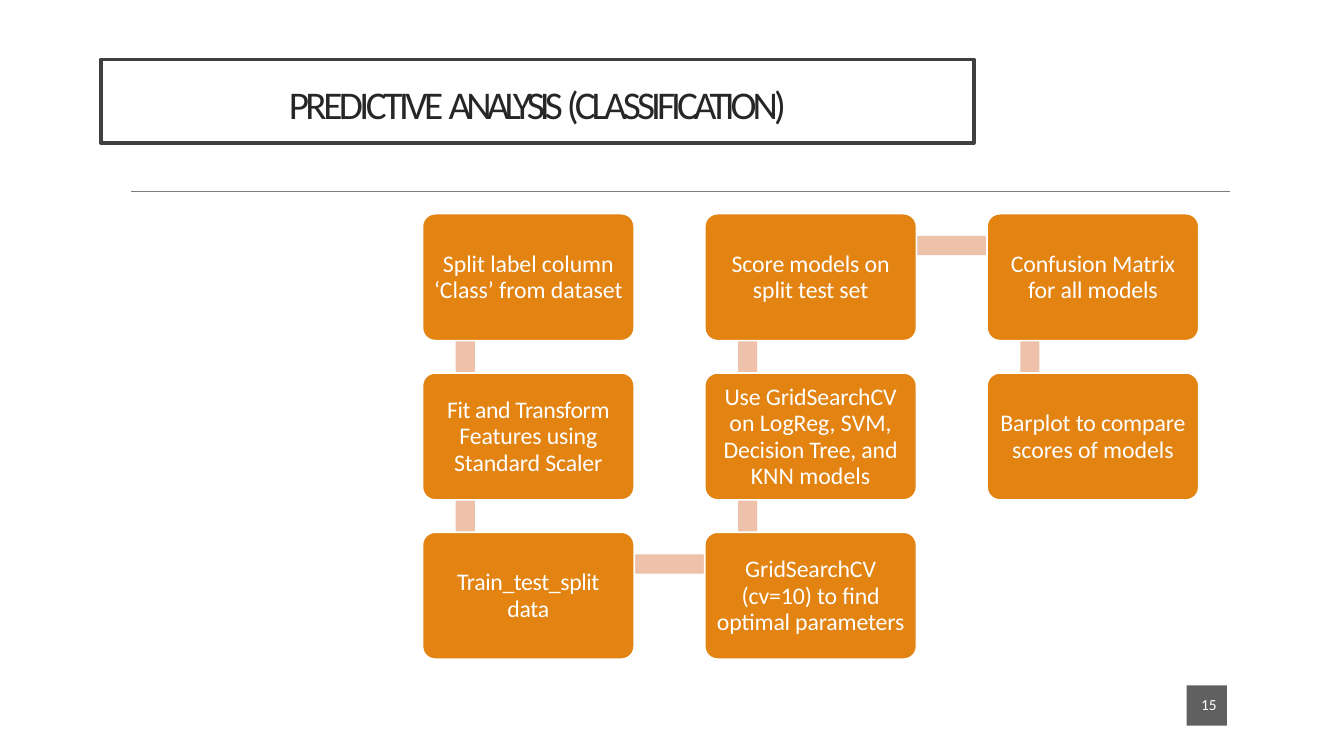
from itertools import pairwise

from lxml.etree import SubElement
from pptx import Presentation
from pptx.dml.color import RGBColor
from pptx.enum.shapes import MSO_CONNECTOR, MSO_SHAPE
from pptx.enum.text import MSO_ANCHOR, PP_ALIGN
from pptx.oxml.ns import qn
from pptx.util import Inches, Pt

WHITE = RGBColor(0xFF, 0xFF, 0xFF)
ORANGE = RGBColor(0xE2, 0x83, 0x12)
PEACH = RGBColor(0xED, 0xC1, 0xAA)
INK = RGBColor(0x26, 0x26, 0x26)
FRAME = RGBColor(0x40, 0x40, 0x40)
RULE = RGBColor(0x7D, 0x7D, 0x7D)
BADGE = RGBColor(0x1D, 0x1D, 0x1D)

# Boxes: left, top, width, height in inches
TITLE_BOX = (1, 0.59, 8.66, 0.83)
RULE_BOX = (1.3, 1.9, 10.9, 0)
FLOW_BOX = (4.19, 2.12, 7.7, 4.42)
NUMBER_BOX = (11.77, 6.8, 0.4, 0.4)

COLUMNS, ROWS = 3, 3
NODE_WIDTH, NODE_HEIGHT = 2.1, 1.26
LINK_THICKNESS = 0.19

# Steps in order: column, row, lines of (text, tracking in points)
STEPS = [
    (0, 0, [("Split label column", -0.07), ("‘Class’ from dataset", -0.05)]),
    (0, 1, [("Fit and Transform", -0.3), ("Features using", -0.1), ("Standard Scaler", -0.1)]),
    (0, 2, [("Train_test_split", -0.3), ("data", -0.2)]),
    (1, 2, [("GridSearchCV", -0.1), ("(cv=10) to find", -0.1), ("optimal parameters", -0.15)]),
    (1, 1, [("Use GridSearchCV", -0.1), ("on LogReg, SVM,", 0),
            ("Decision Tree, and", -0.15), ("KNN models", 0)]),
    (1, 0, [("Score models on", -0.1), ("split test set", -0.1)]),
    (2, 0, [("Confusion Matrix", -0.1), ("for all models", -0.1)]),
    (2, 1, [("Barplot to compare", -0.1), ("scores of models", -0.05)]),
]


def add_block(slide, kind, box, fill, line=None, line_width=0):
    shape = slide.shapes.add_shape(kind, *map(Inches, box))
    shape.shadow.inherit = False
    shape.fill.solid()
    shape.fill.fore_color.rgb = fill
    if line is None:
        shape.line.fill.background()
    else:
        shape.line.color.rgb = line
        shape.line.width = Pt(line_width)
    return shape


def write_runs(paragraph, runs, size, color):
    for text, tracking in runs:
        run = paragraph.add_run()
        run.text = text
        for name, value in {"name": "Calibri", "size": Pt(size)}.items():
            setattr(run.font, name, value)
        run.font.color.rgb = color
        run.font._element.set("spc", str(round(tracking * 100)))


def write_lines(shape, lines, size, color, spacing=None, margin_top=0):
    frame = shape.text_frame
    settings = {"word_wrap": True, "vertical_anchor": MSO_ANCHOR.MIDDLE,
                "margin_left": 0, "margin_right": 0,
                "margin_top": Inches(margin_top), "margin_bottom": 0}
    for name, value in settings.items():
        setattr(frame, name, value)
    for index, runs in enumerate(lines):
        paragraph = frame.add_paragraph() if index else frame.paragraphs[0]
        paragraph.alignment = PP_ALIGN.CENTER
        if spacing:
            paragraph.line_spacing = Pt(spacing)
        write_runs(paragraph, runs, size, color)


def add_title(slide, box):
    shape = add_block(slide, MSO_SHAPE.RECTANGLE, box, WHITE, FRAME, 2.5)
    runs = [("PREDICTIVE ", -2.5), ("ANALYSIS ", -3.5), ("(CLASSIFICATION)", -2.8)]
    write_lines(shape, [runs], 28, INK, margin_top=0.06)


def add_rule(slide, box):
    left, top, width, height = box
    rule = slide.shapes.add_connector(
        MSO_CONNECTOR.STRAIGHT, Inches(left), Inches(top),
        Inches(left + width), Inches(top + height))
    rule.line.color.rgb = RULE
    rule.line.width = Pt(0.48)
    SubElement(rule._element.spPr, qn("a:effectLst"))


def add_flow(slide, box):
    left, top, width, height = box
    column_step = (width - NODE_WIDTH) / (COLUMNS - 1)
    row_step = (height - NODE_HEIGHT) / (ROWS - 1)

    def corner(column, row):
        return left + column * column_step, top + row * row_step

    # Bars between consecutive steps, behind the nodes
    for (column, row, _), (next_column, next_row, _) in pairwise(STEPS):
        x, y = corner(min(column, next_column), min(row, next_row))
        if column == next_column:
            bar = (x + 0.33, y + 0.32, LINK_THICKNESS, row_step)
        else:
            bar = (x + 0.43, y + 0.22, column_step, LINK_THICKNESS)
        add_block(slide, MSO_SHAPE.RECTANGLE, bar, PEACH)

    # Nodes
    for column, row, lines in STEPS:
        node_box = (*corner(column, row), NODE_WIDTH, NODE_HEIGHT)
        node = add_block(slide, MSO_SHAPE.ROUNDED_RECTANGLE, node_box, ORANGE, WHITE, 1.2)
        node.adjustments[0] = 0.1
        write_lines(node, [[line] for line in lines], 17, WHITE, spacing=19)


def add_slide_number(slide, box):
    shape = add_block(slide, MSO_SHAPE.RECTANGLE, box, BADGE)
    color = shape.fill._xPr.find(qn("a:solidFill"))[0]
    SubElement(color, qn("a:alpha"), val="70000")
    write_lines(shape, [[("15", 0)]], 11, WHITE, spacing=11)
    shape.text_frame.margin_left = Inches(0.04)


def main():
    presentation = Presentation()
    presentation.slide_width = Inches(13.33)
    presentation.slide_height = Inches(7.5)
    slide = presentation.slides.add_slide(presentation.slide_layouts[6])
    add_rule(slide, RULE_BOX)
    add_title(slide, TITLE_BOX)
    add_slide_number(slide, NUMBER_BOX)
    add_flow(slide, FLOW_BOX)
    presentation.save("out.pptx")


if __name__ == "__main__":
    main()
